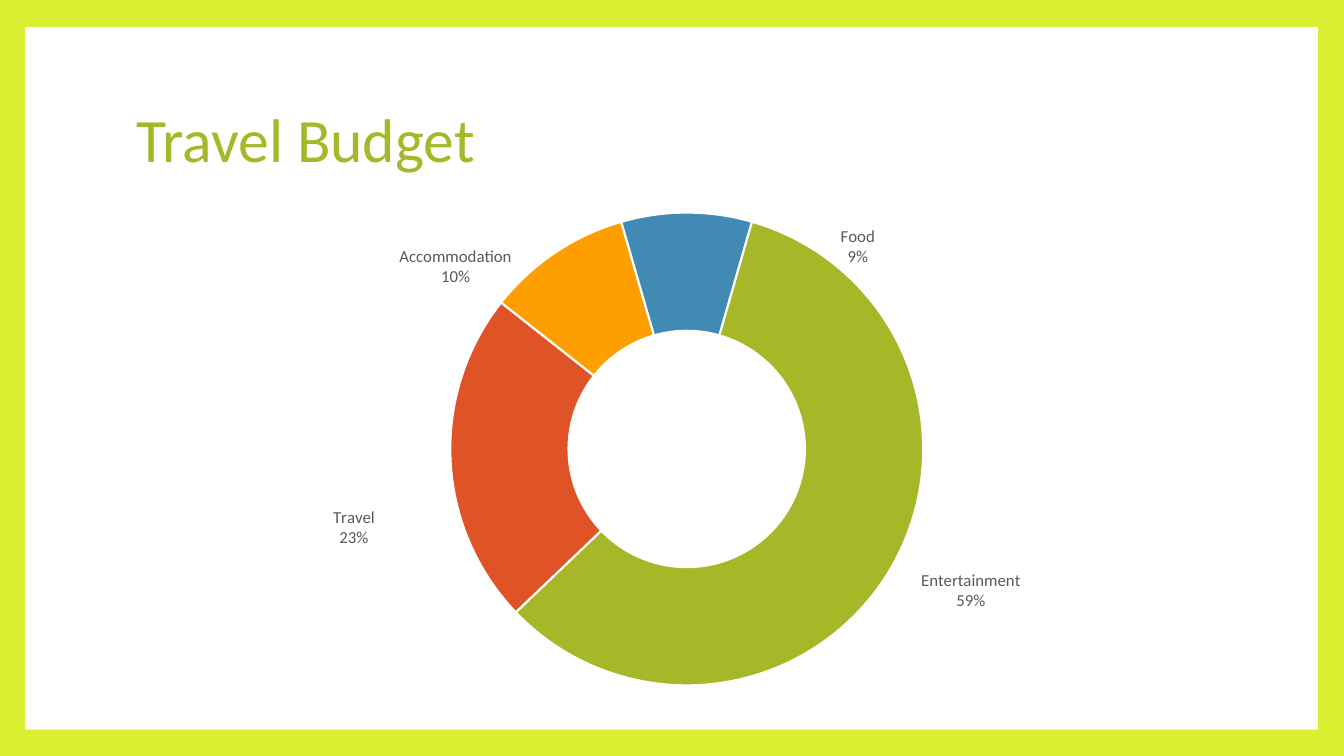
from lxml import etree
from pptx import Presentation
from pptx import util as u
from pptx.chart.data import CategoryChartData
from pptx.dml.color import RGBColor
from pptx.enum import chart as ch, shapes, text
from pptx.oxml import parse_xml
from pptx.oxml.ns import qn

FONT = "Calibri"
NS = ('xmlns:c="http://schemas.openxmlformats.org/drawingml/2006/chart" '
      'xmlns:a="http://schemas.openxmlformats.org/drawingml/2006/main"')
# name, value, slice colour, label shift as a share of the chart box
COSTS = [
    ("Entertainment", 59, "A6B727", (0.17, 0.10)),
    ("Travel", 23, "DF5327", (-0.20, 0.14)),
    ("Accommodation", 10, "FE9E00", (-0.17, -0.07)),
    ("Food", 9, "418AB3", (0.22, -0.05)),
]
# The rounded values add up to 101, so this share needs fixed text
FIXED = {"Entertainment": "59%"}


def paint(fmt, code):
    """Give a fill a solid colour."""
    fmt.solid()
    fmt.fore_color.rgb = RGBColor.from_string(code)


def box(x, y, w, h):
    return [u.Inches(v) for v in (x, y, w, h)]


def add_frame(slide, area):
    """Lime border around a white panel, behind everything else."""
    paint(slide.background.fill, "DAEE32")
    panel = slide.shapes.add_shape(shapes.MSO_SHAPE.RECTANGLE, *area)
    panel.shadow.inherit = False
    paint(panel.fill, "FFFFFF")
    panel.line.fill.background()
    panel.element.getparent().insert(2, panel.element)


def add_title(slide, area, words):
    title = slide.shapes.title
    title.left, title.top, title.width, title.height = area
    frame = title.text_frame
    frame.word_wrap = True
    frame.vertical_anchor = text.MSO_ANCHOR.MIDDLE
    para = frame.paragraphs[0]
    para.alignment = text.PP_ALIGN.LEFT
    para.line_spacing = 0.9
    run = para.add_run()
    run.text = words
    run.font.name = FONT
    run.font.size = u.Pt(44)
    paint(run.font.fill, "A6B727")


def set_layout(x, y, w, h):
    """Fixed place of the ring inside the chart box."""
    return parse_xml(
        f'<c:layout {NS}><c:manualLayout><c:layoutTarget val="inner"/>'
        '<c:xMode val="edge"/><c:yMode val="edge"/>'
        f'<c:x val="{x}"/><c:y val="{y}"/><c:w val="{w}"/><c:h val="{h}"/>'
        '</c:manualLayout></c:layout>')


def make_labels():
    """Category and percent labels, each moved off its slice."""
    style = (f'sz="1200" b="0"><a:solidFill><a:srgbClr val="595959"/></a:solidFill>'
             f'<a:latin typeface="{FONT}"/>')
    look = (f'<c:txPr><a:bodyPr/><a:p><a:pPr><a:defRPr {style}</a:defRPr></a:pPr>'
            '<a:endParaRPr lang="en-US"/></a:p></c:txPr>')
    show = ('<c:showLegendKey val="0"/><c:showVal val="0"/><c:showCatName val="1"/>'
            '<c:showSerName val="0"/><c:showPercent val="1"/><c:showBubbleSize val="0"/>'
            '<c:separator>\n</c:separator>')
    parts = ""
    for idx, (name, _, _, (dx, dy)) in enumerate(COSTS):
        words = ""
        if name in FIXED:
            paras = "".join(
                f'<a:p><a:r><a:rPr lang="en-US" {style}</a:rPr><a:t>{line}</a:t></a:r></a:p>'
                for line in (name, FIXED[name]))
            words = f'<c:tx><c:rich><a:bodyPr/>{paras}</c:rich></c:tx>'
        parts += (f'<c:dLbl><c:idx val="{idx}"/><c:layout><c:manualLayout>'
                  f'<c:x val="{dx}"/><c:y val="{dy}"/></c:manualLayout></c:layout>'
                  f'{words}{look}{show}</c:dLbl>')
    return parse_xml(f'<c:dLbls {NS}>{parts}{look}{show}'
                     '<c:showLeaderLines val="0"/></c:dLbls>')


def add_ring(slide, area):
    data = CategoryChartData()
    data.categories = [cost[0] for cost in COSTS]
    data.add_series("Series 1", [cost[1] for cost in COSTS])
    chart = slide.shapes.add_chart(ch.XL_CHART_TYPE.DOUGHNUT, *area, data).chart
    chart.has_title = chart.has_legend = False
    chart.font.name = FONT
    chart.font.size = u.Pt(10)
    paint(chart.font.fill, "000000")
    plot = chart.plots[0]
    plot.vary_by_categories = True
    series = plot.series[0]

    # Slices
    for idx, cost in enumerate(COSTS):
        fmt = series.points[idx].format
        paint(fmt.fill, cost[2])
        paint(fmt.line.fill, "FFFFFF")
        fmt.line.width = u.Pt(1.5)

    # Labels, ring place, first angle and hole
    root = chart.element
    for old in list(root.iter(qn("c:dLbls"))):
        old.getparent().remove(old)
    root.find(".//" + qn("c:cat")).addprevious(make_labels())
    region = root.find(".//" + qn("c:plotArea"))
    for old in region.findall(qn("c:layout")):
        region.remove(old)
    region.insert(0, set_layout(0.19, 0.03, 0.61, 0.94))
    ring = region.find(qn("c:doughnutChart"))
    for tag, val in (("c:firstSliceAng", 16), ("c:holeSize", 88)):
        node = ring.find(qn(tag))
        if node is None:
            node = etree.SubElement(ring, qn(tag))
        node.set("val", str(val))


def main():
    deck = Presentation()
    deck.slide_width, deck.slide_height = u.Inches(13.33), u.Inches(7.5)
    slide = deck.slides.add_slide(deck.slide_layouts[5])
    add_frame(slide, box(0.25, 0.27, 12.82, 6.97))
    add_title(slide, box(1.25, 0.67, 10.8, 1.48), "Travel Budget")
    add_ring(slide, box(2.99, 1.96, 7.72, 4.99))
    deck.save("out.pptx")


if __name__ == "__main__":
    main()
